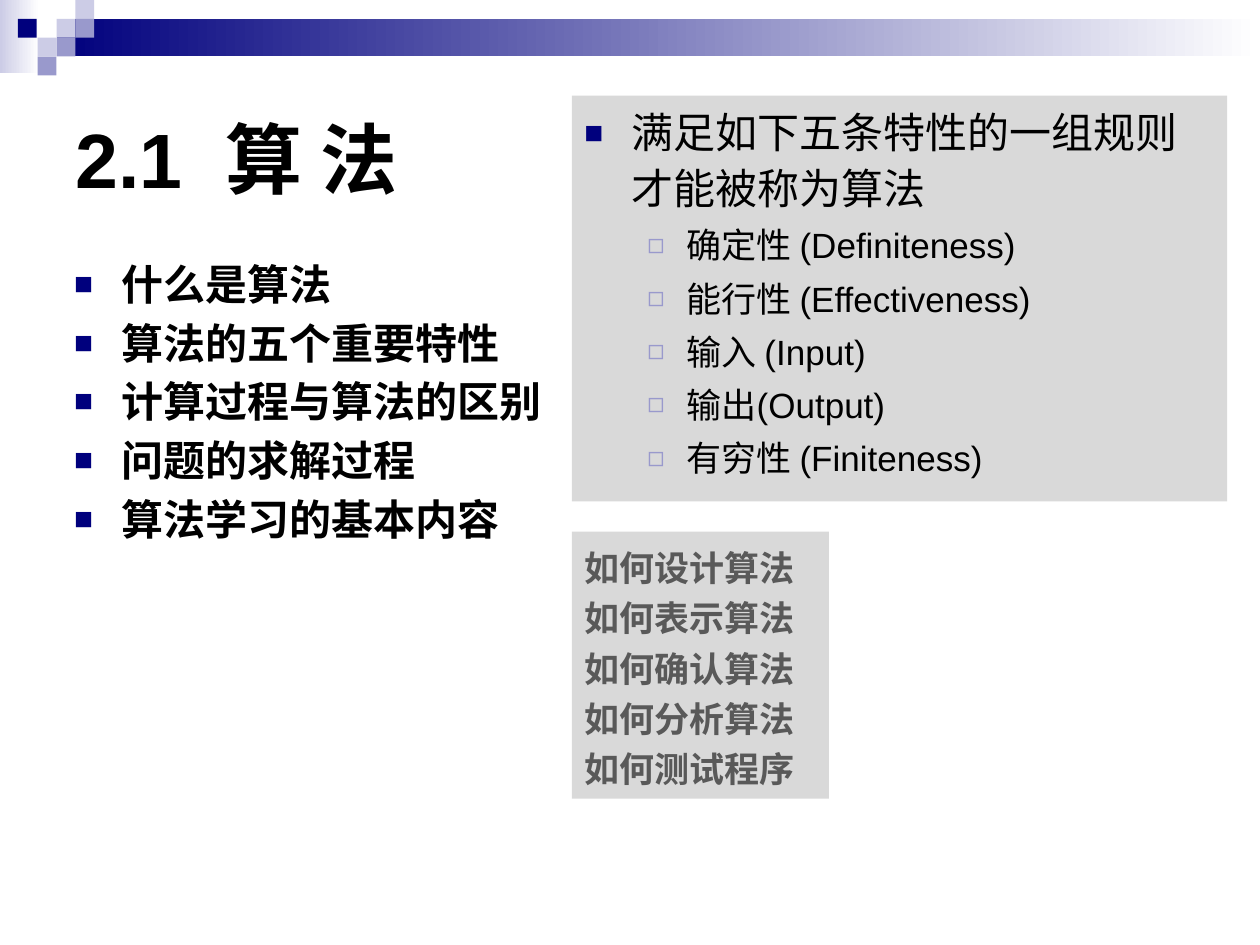
import pptx
import pptx.util
import pptx.dml.color
import pptx.enum.shapes
import pptx.enum.text
import pptx.oxml
import pptx.oxml.ns
from pptx.util import Cm, Pt

COLORS = {"navy": "00007D", "pale": "CCCCE6", "mid": "9999CC", "white": "FFFFFF",
          "panel": "D9D9D9", "black": "000000", "gray": "595959"}
FONT = "Arial"

TITLE = "2.1  算 法"
TOPICS = ["什么是算法", "算法的五个重要特性", "计算过程与算法的区别",
          "问题的求解过程", "算法学习的基本内容"]
RULE = "满足如下五条特性的一组规则才能被称为算法"
PROPERTIES = ["确定性 (Definiteness)", "能行性 (Effectiveness)", "输入 (Input)",
              "输出(Output)", "有穷性 (Finiteness)"]
QUESTIONS = ["如何设计算法", "如何表示算法", "如何确认算法", "如何分析算法", "如何测试程序"]

CELL = 0.38
BANDS = [((0, 0, 0.79, 1.47), "pale"), ((1.14, 0.38, 24.26, 0.76), "navy")]
SQUARES = [(3, 1, "pale"), (4, 0, "pale"), (4, 1, "mid"), (2, 2, "pale"),
           (0.95, 1, "navy"), (3, 2, "mid"), (2, 3, "mid")]

BULLETS = [
    {"char": "■", "color": "navy", "pct": 75, "left": 0.95, "hang": 0.95},
    {"char": "◻", "color": "mid", "pct": 80, "left": 2.06, "hang": 0.79},
]


def rgb(name):
    return pptx.dml.color.RGBColor.from_string(COLORS[name])


def add_box(s, box, color, fade=False):
    sp = s.shapes.add_shape(pptx.enum.shapes.MSO_SHAPE.RECTANGLE, *map(Cm, box))
    sp.shadow.inherit = False
    sp.line.fill.background()
    if fade:
        sp.fill.gradient()
        sp.fill.gradient_angle = 0
        for stop, name in zip(sp.fill.gradient_stops, (color, "white")):
            stop.color.rgb = rgb(name)
    else:
        sp.fill.solid()
        sp.fill.fore_color.rgb = rgb(color)
    return sp


def place(sp, box):
    sp.left, sp.top, sp.width, sp.height = map(Cm, box)


def add_bullet(p, level):
    b = BULLETS[level]
    p.level = level
    pPr = p._p.get_or_add_pPr()
    pPr.set("marL", str(Cm(b["left"])))
    pPr.set("indent", str(-Cm(b["hang"])))
    ns = pptx.oxml.ns.nsdecls("a")
    for xml in (f'<a:buClr {ns}><a:srgbClr val="{COLORS[b["color"]]}"/></a:buClr>',
                f'<a:buSzPct {ns} val="{b["pct"] * 1000}"/>',
                f'<a:buFont {ns} typeface="{FONT}"/>',
                f'<a:buChar {ns} char="{b["char"]}"/>'):
        pPr.append(pptx.oxml.parse_xml(xml))


def write(sp, items, color="black", bold=False, spacing=None, anchor="TOP"):
    tf = sp.text_frame
    tf.word_wrap = True
    tf.auto_size = pptx.enum.text.MSO_AUTO_SIZE.NONE
    tf.vertical_anchor = getattr(pptx.enum.text.MSO_ANCHOR, anchor)
    for i, (text, size, level) in enumerate(items):
        p = tf.paragraphs[0] if i == 0 else tf.add_paragraph()
        if level is not None:
            add_bullet(p, level)
            p.space_before = Pt(size * 0.2 if i else 0)
        p.alignment = pptx.enum.text.PP_ALIGN.LEFT
        if spacing:
            p.line_spacing = spacing
        r = p.add_run()
        r.text = text
        r.font.name = FONT
        r.font.size = Pt(size)
        r.font.bold = bold
        r.font.color.rgb = rgb(color)


def main():
    """Build the slide that introduces algorithms."""
    prs = pptx.Presentation()
    prs.slide_width, prs.slide_height = Cm(25.4), Cm(19.05)
    s = prs.slides.add_slide(prs.slide_layouts[1])

    for box, color in BANDS:
        add_box(s, box, color, fade=True)
    for col, row, color in SQUARES:
        add_box(s, (col * CELL, row * CELL, CELL, CELL), color)

    title, body = s.shapes.title, s.placeholders[1]
    place(title, (1.27, 1.27, 22.86, 3.81))
    write(title, [(TITLE, 44, None)], bold=True, anchor="MIDDLE")
    place(body, (1.24, 5.08, 11.02, 7.01))
    write(body, [(t, 24, 0) for t in TOPICS], bold=True)

    panel = add_box(s, (11.53, 1.93, 13.21, 8.18), "panel")
    write(panel, [(RULE, 24, 0)] + [(t, 20, 1) for t in PROPERTIES], spacing=1.1)
    panel = add_box(s, (11.53, 10.72, 5.18, 5.38), "panel")
    write(panel, [(t, 20, None) for t in QUESTIONS], "gray", bold=True, spacing=1.2)

    prs.save("out.pptx")


if __name__ == "__main__":
    main()
